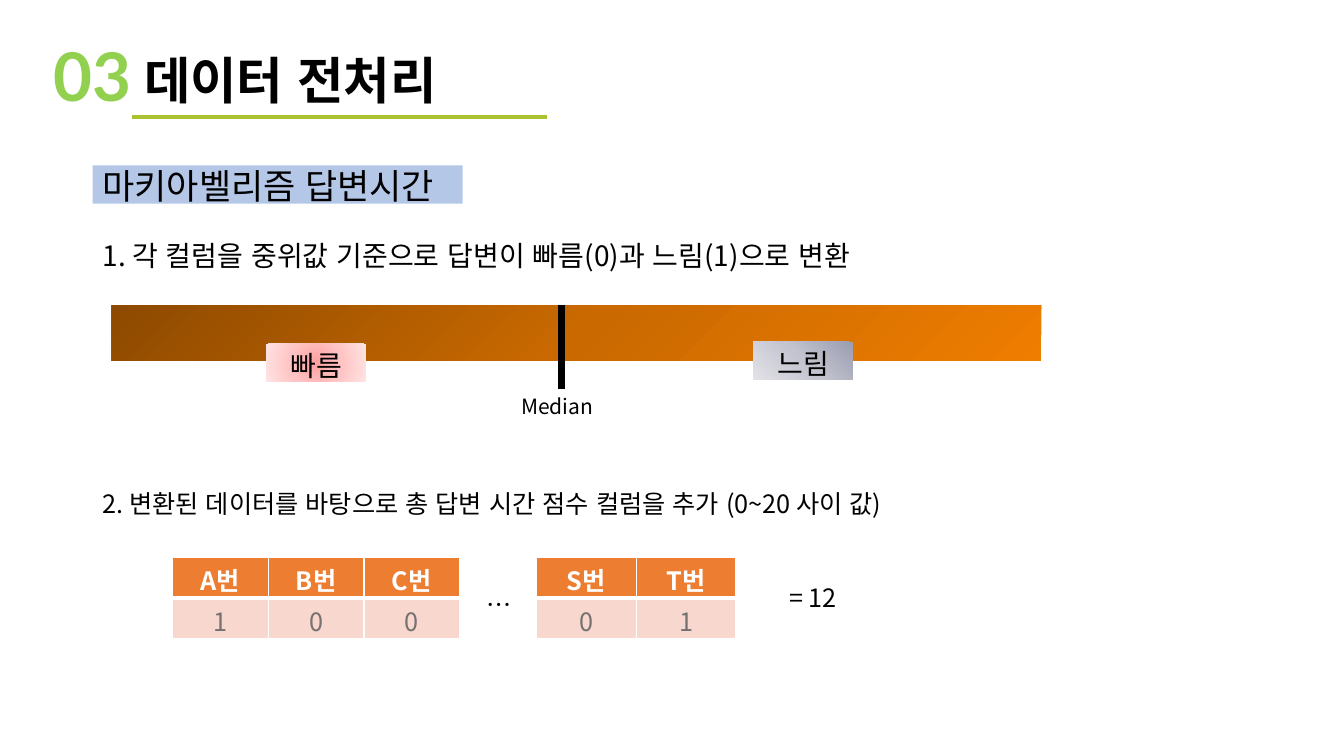
from dataclasses import dataclass

from pptx import Presentation
from pptx.dml.color import RGBColor
from pptx.enum import lang, shapes, text
from pptx.oxml import parse_xml
from pptx.oxml.ns import nsdecls, qn
from pptx.util import Inches, Pt

LEFT, MID, RIGHT, JUST = (text.PP_ALIGN.LEFT, text.PP_ALIGN.CENTER,
                          text.PP_ALIGN.RIGHT, text.PP_ALIGN.JUSTIFY)
TOP, CENTER = text.MSO_ANCHOR.TOP, text.MSO_ANCHOR.MIDDLE


@dataclass(frozen=True)
class Theme:
    body: str = "Noto Sans CJK KR"
    digit: str = "Lato"
    black: str = "000000"
    white: str = "FFFFFF"
    gray: str = "767171"
    green: str = "92D050"
    olive: str = "AAC231"
    blue: str = "B4C7E7"
    orange: str = "ED7D31"
    peach: str = "F8D7CE"
    brown: tuple = ("8E4A00", "C96900", "EF7D00")
    pink: tuple = ("FFA0A0", "FFC5C5", "FFE3E3")
    slate: tuple = ("9B9DB1", "C3C4CF", "E2E2E7")
    number: float = 48
    title: float = 36
    head: float = 25
    large: float = 20
    normal: float = 18
    small: float = 15


T = Theme()


@dataclass(frozen=True)
class Label:
    text: str
    box: tuple
    size: float = T.normal
    align: int = LEFT
    anchor: int = TOP
    color: str = T.black
    font: str = T.body
    bold: bool = False
    wrap: bool = True
    inset: tuple = (0.1, 0.05)
    drop: float = 0
    space: float = 1.0


@dataclass(frozen=True)
class Panel:
    box: tuple
    colors: tuple
    shade: str = ""
    label: str = ""
    size: float = T.large
    align: int = MID
    drop: float = 0.04
    space: float = 1.0


@dataclass(frozen=True)
class Rule:
    start: tuple
    end: tuple
    color: str
    width: float


@dataclass(frozen=True)
class Grid:
    left: float
    column: float
    heads: tuple
    values: tuple


def rgb(code: str) -> RGBColor:
    return RGBColor.from_string(code)


def style(para, label: Label) -> None:
    """Set the paragraph's type, for Latin and Korean letters alike."""
    para.alignment, para.line_spacing = label.align, label.space
    font = para.font
    font.size, font.name, font.bold = Pt(label.size), label.font, label.bold
    font.language_id = lang.MSO_LANGUAGE_ID.KOREAN
    font.color.rgb = rgb(label.color)
    latin = para._p.pPr.find(qn("a:defRPr")).find(qn("a:latin"))
    latin.addnext(parse_xml(f'<a:ea {nsdecls("a")} typeface="{label.font}"/>'))


def write(frame, label: Label) -> None:
    frame.word_wrap, frame.vertical_anchor = label.wrap, label.anchor
    if not label.wrap:
        frame.auto_size = text.MSO_AUTO_SIZE.SHAPE_TO_FIT_TEXT
    side, edge = label.inset
    frame.margin_left = frame.margin_right = Inches(side)
    frame.margin_top = Inches(edge + label.drop)
    frame.margin_bottom = Inches(edge)
    frame.text = label.text
    style(frame.paragraphs[0], label)


def add_label(slide, label: Label) -> None:
    write(slide.shapes.add_textbox(*map(Inches, label.box)).text_frame, label)


def radial(*rect: int) -> str:
    left, top, right, bottom = (side * 1000 for side in rect)
    return (f'<a:path path="circle"><a:fillToRect l="{left}" t="{top}" '
            f'r="{right}" b="{bottom}"/></a:path>')


def linear(angle: int) -> str:
    return f'<a:lin ang="{angle * 60000}" scaled="0"/>'


def add_panel(slide, panel: Panel) -> None:
    shape = slide.shapes.add_shape(shapes.MSO_SHAPE.RECTANGLE,
                                   *map(Inches, panel.box))
    shape.shadow.inherit = False
    shape.line.fill.background()
    if panel.shade:
        stops = "".join(
            f'<a:gs pos="{i * 50000}"><a:srgbClr val="{code}"/></a:gs>'
            for i, code in enumerate(panel.colors))
        shape._element.spPr.find(qn("a:prstGeom")).addnext(parse_xml(
            f'<a:gradFill {nsdecls("a")} rotWithShape="1">'
            f'<a:gsLst>{stops}</a:gsLst>{panel.shade}</a:gradFill>'))
    else:
        shape.fill.solid()
        shape.fill.fore_color.rgb = rgb(panel.colors[0])
    if panel.label:
        write(shape.text_frame,
              Label(panel.label, panel.box, panel.size, panel.align, CENTER,
                    drop=panel.drop, space=panel.space))


def add_rule(slide, rule: Rule) -> None:
    line = slide.shapes.add_connector(shapes.MSO_CONNECTOR.STRAIGHT,
                                      *map(Inches, rule.start + rule.end))
    line.line.color.rgb = rgb(rule.color)
    line.line.width = Pt(rule.width)
    line._element.spPr.append(parse_xml(f'<a:effectLst {nsdecls("a")}/>'))


def border(cell, base: float) -> None:
    """Draw white cell edges; base is the width of the bottom one."""
    edges = cell._tc.get_or_add_tcPr()
    for side, width in zip("LRTB", (1, 1, 1, base)):
        edges.append(parse_xml(
            f'<a:ln{side} {nsdecls("a")} w="{Pt(width)}"><a:solidFill>'
            f'<a:srgbClr val="{T.white}"/></a:solidFill></a:ln{side}>'))


def add_grid(slide, grid: Grid) -> None:
    count, row = len(grid.heads), 0.405
    table = slide.shapes.add_table(
        2, count, Inches(grid.left), Inches(5.53),
        Inches(count * grid.column), Inches(2 * row)).table
    for column in table.columns:
        column.width = Inches(grid.column)
    looks = ((grid.heads, T.orange, T.white, True, 3),
             (grid.values, T.peach, T.gray, False, 1))
    for r, (words, fill, color, bold, base) in enumerate(looks):
        for c, word in enumerate(words):
            cell = table.cell(r, c)
            border(cell, base)
            cell.fill.solid()
            cell.fill.fore_color.rgb = rgb(fill)
            cell.margin_top, cell.margin_bottom = Inches(0.04), 0
            cell.text = word
            style(cell.text_frame.paragraphs[0],
                  Label(word, (), align=MID, color=color, bold=bold))


LABELS = (
    Label("03", (0.5, 0.34, 0.8, 0.81), T.number, RIGHT, color=T.green,
          font=T.digit, bold=True, wrap=False, inset=(0, 0)),
    Label("데이터 전처리", (1.31, 0.37, 7.23, 0.79), T.title, bold=True,
          inset=(0.12, 0.06), space=1.1),
    Label("1. 각 컬럼을 중위값 기준으로 답변이 빠름(0)과 느림(1)으로 변환",
          (0.92, 2.32, 8.18, 0.38), T.large, JUST, CENTER, drop=0.04),
    Label("Median", (5.07, 3.86, 0.99, 0.38), T.small, JUST, CENTER,
          drop=-0.04),
    Label("2. 변환된 데이터를 바탕으로 총 답변 시간 점수 컬럼을 추가 (0~20 사이 값)",
          (0.92, 4.8, 8.47, 0.4)),
    Label("…", (4.73, 5.8, 0.49, 0.4)),
    Label("= 12", (7.73, 5.73, 1.05, 0.4)),
)
PANELS = (
    Panel((0.92, 1.64, 3.67, 0.38), (T.blue,), label="마키아벨리즘 답변시간",
          size=T.head, align=LEFT, drop=0.08, space=0.9),
    Panel((1.11, 3.03, 9.22, 0.55), T.brown, radial(0, 0, 100, 100)),
    Panel((2.64, 3.41, 0.99, 0.38), T.pink, radial(50, 50, 50, 50), "빠름"),
    Panel((7.47, 3.39, 0.99, 0.38), T.slate, linear(135), "느림"),
)
RULES = (
    Rule((1.31, 1.16), (5.43, 1.16), T.olive, 3),
    Rule((5.57, 3.03), (5.57, 3.86), T.black, 4.5),
)
GRIDS = (
    Grid(1.71, 0.95, ("A번", "B번", "C번"), ("1", "0", "0")),
    Grid(5.32, 0.99, ("S번", "T번"), ("0", "1")),
)


def main() -> None:
    deck = Presentation()
    deck.slide_width, deck.slide_height = Inches(13.33), Inches(7.5)
    slide = deck.slides.add_slide(deck.slide_layouts[6])
    for draw, items in ((add_panel, PANELS), (add_rule, RULES),
                        (add_label, LABELS), (add_grid, GRIDS)):
        for item in items:
            draw(slide, item)
    deck.save("out.pptx")


if __name__ == "__main__":
    main()
